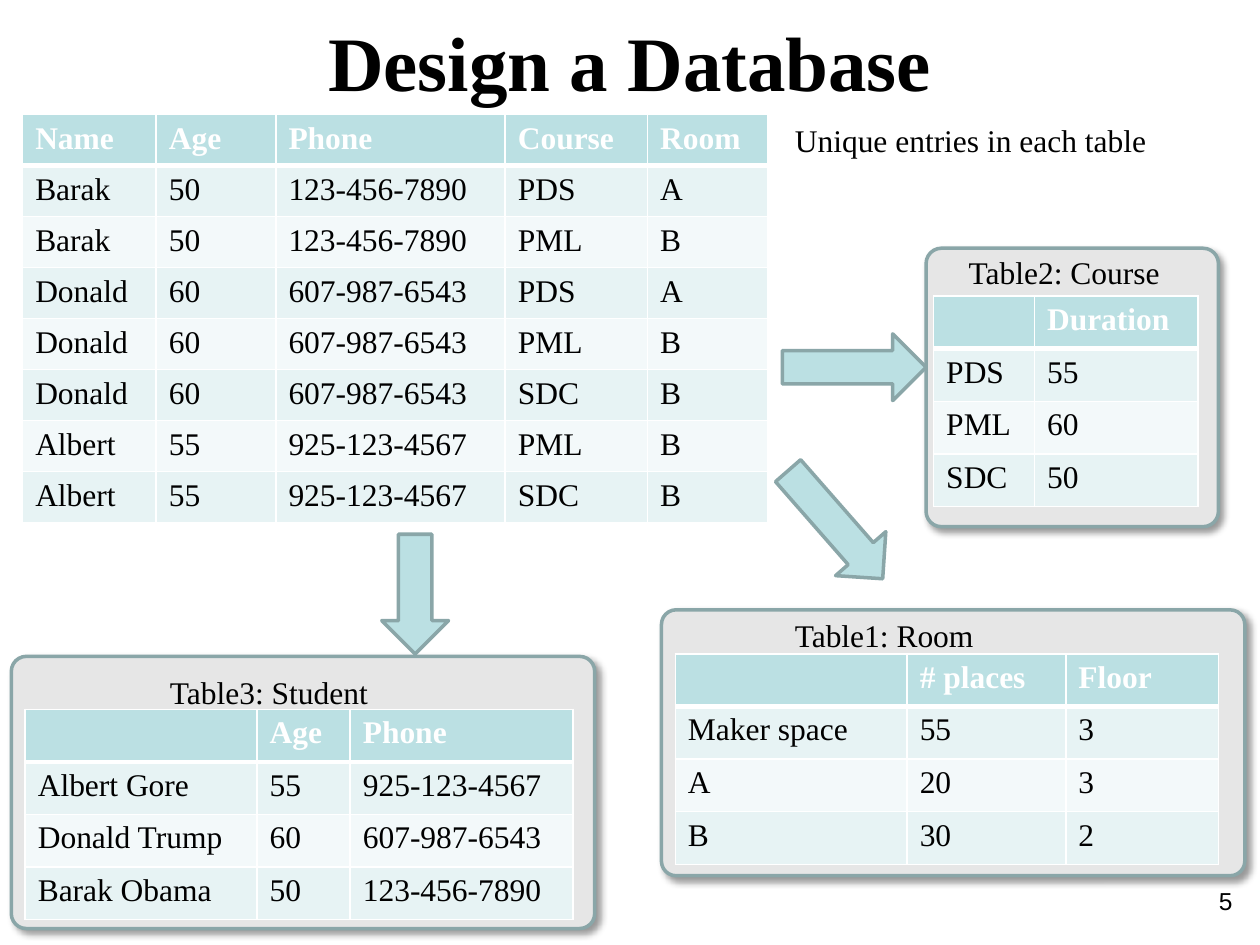
from dataclasses import dataclass

from lxml import etree
from pptx import Presentation, util as u
from pptx.dml.color import RGBColor
from pptx.enum import shapes, text
from pptx.oxml.ns import qn
from pptx.slide import Slide

# The slide is a grid of 100 columns by 75 rows
COLUMNS, ROWS = 100, 75
WIDTH, HEIGHT = u.Inches(10), u.Inches(7.5)


@dataclass(frozen=True)
class Theme:
    serif: str = "Times New Roman"
    sans: str = "Arial"
    ink: str = "000000"
    paper: str = "FFFFFF"
    accent: str = "BBE0E3"
    bands: tuple[str, str] = ("E7F3F4", "F3F9FA")
    panel: str = "E6E6E6"
    outline: str = "8AA6A8"
    title_size: int = 44
    body_size: int = 18
    number_size: int = 14
    outline_width: int = 2
    header_rule: int = 3
    cell_rule: int = 1


THEME = Theme()


@dataclass(frozen=True)
class Area:
    column: float
    row: float
    columns: float
    rows: float

    def lengths(self) -> tuple[int, ...]:
        across, down = WIDTH / COLUMNS, HEIGHT / ROWS
        return (round(self.column * across), round(self.row * down),
                round(self.columns * across), round(self.rows * down))


@dataclass(frozen=True)
class Caption:
    wording: str
    area: Area
    size: int = THEME.body_size
    font: str = THEME.serif
    bold: bool = False
    align: text.PP_ALIGN = text.PP_ALIGN.LEFT
    grow: bool = True
    space_before: int = 0  # per cent of a line


@dataclass(frozen=True)
class Grid:
    area: Area
    column_widths: tuple[float, ...]
    records: tuple[tuple[str, ...], ...]


@dataclass(frozen=True)
class Entity:
    panel: Area
    grid: Grid
    label: Caption


@dataclass(frozen=True)
class Arrow:
    area: Area
    rotation: float = 0


PHONES = {"Barak": "123-456-7890", "Donald": "607-987-6543", "Albert": "925-123-4567"}
AGES = {"Barak": "50", "Donald": "60", "Albert": "55"}
COURSE_ROOMS = {"PDS": "A", "PML": "B", "SDC": "B"}
ENROLMENTS = (("Barak", "PDS"), ("Barak", "PML"), ("Donald", "PDS"), ("Donald", "PML"),
              ("Donald", "SDC"), ("Albert", "PML"), ("Albert", "SDC"))
STUDENTS = (("Albert", "Gore"), ("Donald", "Trump"), ("Barak", "Obama"))

TITLE = Caption("Design a Database", Area(0, 0.7, 100, 8.4), THEME.title_size,
                bold=True, align=text.PP_ALIGN.CENTER, space_before=50)
PAGE_NUMBER = Caption("5", Area(75.5, 69.8, 23.3, 5.2), THEME.number_size,
                      THEME.sans, align=text.PP_ALIGN.RIGHT, grow=False)
REMARK = Caption("Unique entries in each table", Area(62.1, 9.1, 32.9, 4))

ALL_ENTRIES = Grid(
    Area(1.8, 9.1, 59.2, 32.4), (10.6, 9.5, 18.2, 11.3, 9.5),
    (("Name", "Age", "Phone", "Course", "Room"),
     *((name, AGES[name], PHONES[name], course, COURSE_ROOMS[course])
       for name, course in ENROLMENTS)))

ENTITIES = (
    Entity(Area(52.5, 48.4, 46.3, 21.1),
           Grid(Area(53.6, 51.9, 43.1, 16.7), (18.4, 12.6, 12.1),
                (("", "# places", "Floor"), ("Maker space", "55", "3"),
                 ("A", "20", "3"), ("B", "30", "2"))),
           Caption("Table1: Room", Area(62.1, 48.4, 20, 4))),
    Entity(Area(73.5, 19.7, 23.2, 22.1),
           Grid(Area(74.1, 23.5, 20.9, 16.7), (8, 13),
                (("", "Duration"), ("PDS", "55"), ("PML", "60"), ("SDC", "50"))),
           Caption("Table2: Course", Area(75.9, 19.6, 18.4, 4))),
    Entity(Area(0.9, 52.1, 46.3, 21.6),
           Grid(Area(2, 56.3, 43.5, 16.7), (18.4, 7.4, 17.7),
                (("", "Age", "Phone"),
                 *((f"{first} {last}", AGES[first], PHONES[first])
                   for first, last in STUDENTS))),
           Caption("Table3: Student", Area(12.5, 52.9, 20.5, 4))),
)

ARROWS = (Arrow(Area(62.1, 26.5, 11.4, 5.3)),
          Arrow(Area(60.6, 39, 11.4, 5.3), 48.8),
          Arrow(Area(28.2, 44.5, 9.5, 5.3), 90))


def add_node(parent, tag: str, **attributes):
    return etree.SubElement(parent, qn(tag), {k: str(v) for k, v in attributes.items()})


def style_font(font, color: str, **values) -> None:
    for name, value in values.items():
        setattr(font, name, value)
    font.color.rgb = RGBColor.from_string(color)


def draw_caption(slide: Slide, caption: Caption) -> None:
    frame = slide.shapes.add_textbox(*caption.area.lengths()).text_frame
    frame.word_wrap = True
    if caption.grow:
        frame.auto_size = text.MSO_AUTO_SIZE.SHAPE_TO_FIT_TEXT
    paragraph = frame.paragraphs[0]
    paragraph.alignment = caption.align
    if caption.space_before:
        spacing = add_node(paragraph._p.get_or_add_pPr(), "a:spcBef")
        add_node(spacing, "a:spcPct", val=caption.space_before * 1000)
    run = paragraph.add_run()
    run.text = caption.wording
    style_font(run.font, THEME.ink, name=caption.font, size=u.Pt(caption.size),
               bold=caption.bold)


def draw_borders(cell, header: bool) -> None:
    properties = cell._tc.get_or_add_tcPr()
    for side in "LRTB":
        points = THEME.header_rule if header and side == "B" else THEME.cell_rule
        line = add_node(properties, f"a:ln{side}", w=u.Pt(points))
        add_node(add_node(line, "a:solidFill"), "a:srgbClr", val=THEME.paper)


def draw_grid(slide: Slide, grid: Grid) -> None:
    table = slide.shapes.add_table(len(grid.records), len(grid.column_widths),
                                   *grid.area.lengths()).table
    for column, width in zip(table.columns, grid.column_widths):
        column.width = round(width * WIDTH / COLUMNS)
    for r, record in enumerate(grid.records):
        header = r == 0
        fill = THEME.accent if header else THEME.bands[(r - 1) % 2]
        for c, wording in enumerate(record):
            cell = table.cell(r, c)
            cell.text = wording
            draw_borders(cell, header)
            cell.fill.solid()
            cell.fill.fore_color.rgb = RGBColor.from_string(fill)
            paragraph = cell.text_frame.paragraphs[0]
            style_font(paragraph.runs[0].font if wording else paragraph.font,
                       THEME.paper if header else THEME.ink,
                       name=THEME.serif, size=u.Pt(THEME.body_size), bold=header)


def draw_outlined(slide: Slide, kind: shapes.MSO_SHAPE, area: Area, fill: str):
    shape = slide.shapes.add_shape(kind, *area.lengths())
    shape.shadow.inherit = False
    shape.fill.solid()
    shape.fill.fore_color.rgb = RGBColor.from_string(fill)
    shape.line.color.rgb = RGBColor.from_string(THEME.outline)
    shape.line.width = u.Pt(THEME.outline_width)
    return shape


def draw_panel(slide: Slide, area: Area) -> None:
    panel = draw_outlined(slide, shapes.MSO_SHAPE.ROUNDED_RECTANGLE, area, THEME.panel)
    panel.adjustments[0] = 0.055
    effects = panel._element.spPr.find(qn("a:effectLst"))
    shadow = add_node(effects, "a:outerShdw", blurRad=u.Pt(4), dist=u.Pt(3),
                      dir=45 * 60000, algn="tl", rotWithShape=0)
    add_node(add_node(shadow, "a:srgbClr", val=THEME.ink), "a:alpha", val=40000)


def main() -> None:
    deck = Presentation()
    deck.slide_width, deck.slide_height = WIDTH, HEIGHT
    slide = deck.slides.add_slide(deck.slide_layouts[6])

    # Heading, page number and the table to be split
    draw_caption(slide, TITLE)
    draw_caption(slide, PAGE_NUMBER)
    draw_grid(slide, ALL_ENTRIES)

    # Resulting tables, each on its panel
    for entity in ENTITIES:
        draw_panel(slide, entity.panel)
        draw_grid(slide, entity.grid)
    for entity in ENTITIES:
        draw_caption(slide, entity.label)

    # Arrows and remark
    for arrow in ARROWS:
        pointer = draw_outlined(slide, shapes.MSO_SHAPE.RIGHT_ARROW, arrow.area, THEME.accent)
        pointer.rotation = arrow.rotation
    draw_caption(slide, REMARK)

    deck.save("out.pptx")


if __name__ == "__main__":
    main()
